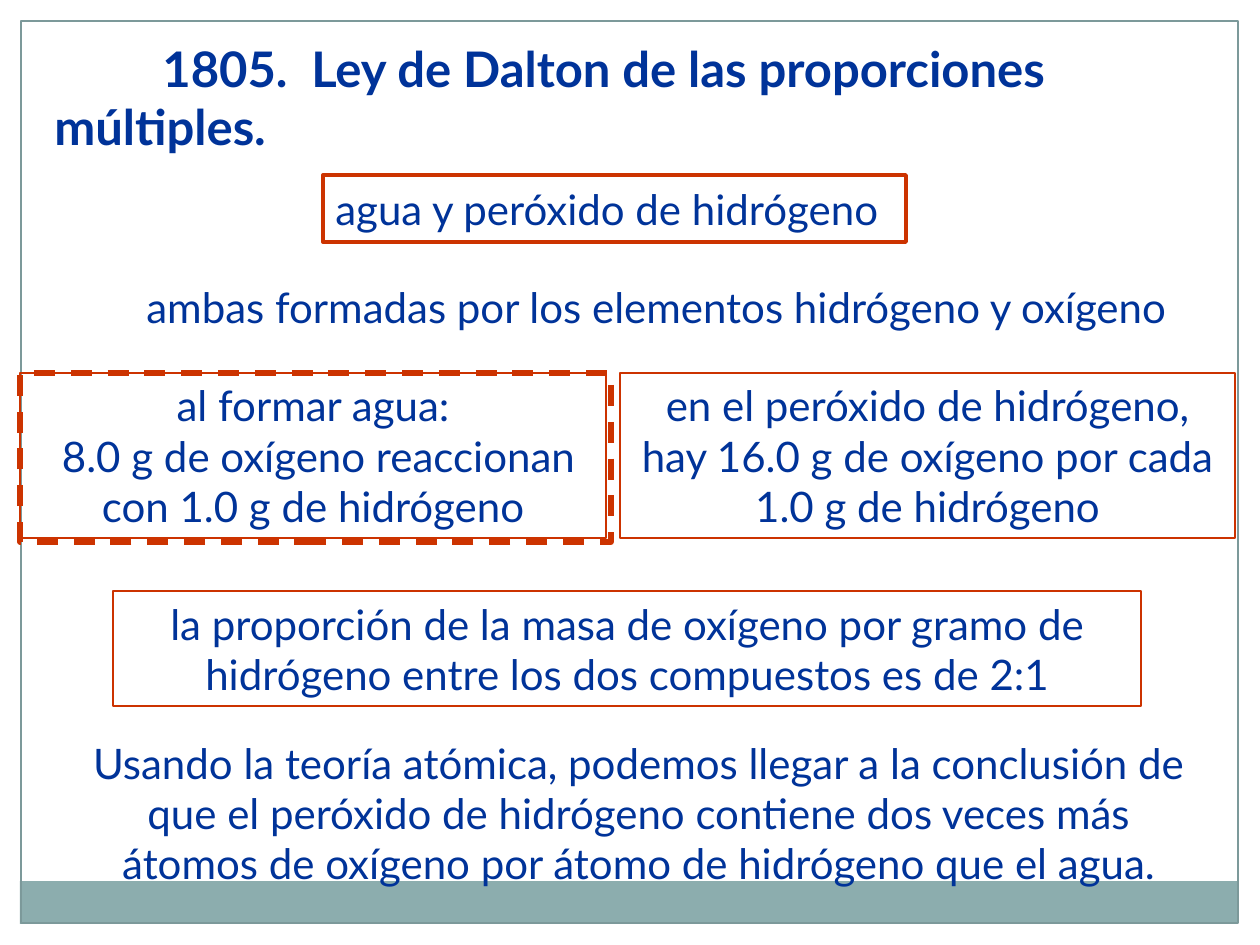
from pptx import Presentation
from pptx.dml.color import RGBColor
from pptx.enum.dml import MSO_LINE
from pptx.enum.shapes import MSO_SHAPE
from pptx.enum.text import PP_ALIGN
from pptx.util import Pt

EMU_PER_PX = 914400 / 126
FONT = "Lato"
NAVY, RED, TEAL, GREY = "003399", "CC3300", "8CADAE", "7C999A"
LEFT, CENTER = PP_ALIGN.LEFT, PP_ALIGN.CENTER
TITLE_INDENT = 108

TITLE = "1805.  Ley de Dalton de las proporciones múltiples."
TITLE_BOX = (42, 32, 1176, 130)

# paragraphs, box in px (left, top, width, height), alignment, outline in points
STATEMENTS = [
    (["agua y peróxido de hidrógeno"], (323, 175, 583, 67), LEFT, 2.25),
    (["ambas formadas por los elementos hidrógeno y oxígeno"],
     (134, 275, 1065, 63), LEFT, None),
    (["al formar agua:", " 8.0 g de oxígeno reaccionan con 1.0 g de hidrógeno"],
     (20, 373, 586, 165), CENTER, 0.75),
    (["en el peróxido de hidrógeno, hay 16.0 g de oxígeno por cada 1.0 g de hidrógeno"],
     (620, 373, 615, 165), CENTER, 0.75),
    (["la proporción de la masa de oxígeno por gramo de hidrógeno "
      "entre los dos compuestos es de 2:1"],
     (113, 591, 1028, 115), CENTER, 0.75),
    (["Usando la teoría atómica, podemos llegar a la conclusión de que el peróxido "
      "de hidrógeno contiene dos veces más átomos de oxígeno por átomo de hidrógeno "
      "que el agua."],
     (64, 731, 1149, 164), CENTER, None),
]


def px(length):
    return round(length * EMU_PER_PX)


def color(hex_code):
    return RGBColor.from_string(hex_code)


def add_rectangle(slide, box, fill=None, line=None, width=0.75):
    shape = slide.shapes.add_shape(MSO_SHAPE.RECTANGLE, *map(px, box))
    shape.shadow.inherit = False
    if fill:
        shape.fill.solid()
        shape.fill.fore_color.rgb = color(fill)
    else:
        shape.fill.background()
    if line:
        shape.line.color.rgb = color(line)
        shape.line.width = Pt(width)
    else:
        shape.line.fill.background()
    return shape


def add_text(slide, paragraphs, box, align, outline=None, size=24, bold=False):
    """Add a text box, or a red-outlined rectangle when an outline width is given."""
    if outline:
        shape = add_rectangle(slide, box, line=RED, width=outline)
    else:
        shape = slide.shapes.add_textbox(*map(px, box))
    frame = shape.text_frame
    frame.word_wrap = True
    frame.text = "\n".join(paragraphs)
    for paragraph in frame.paragraphs:
        paragraph.alignment = align
        font = paragraph.runs[0].font
        font.name, font.size, font.bold = FONT, Pt(size), bold
        font.color.rgb = color(NAVY)
    return shape


def main():
    presentation = Presentation()
    presentation.slide_width, presentation.slide_height = px(1260), px(945)
    slide = presentation.slides.add_slide(presentation.slide_layouts[6])

    add_rectangle(slide, (20, 881, 1217, 43), fill=TEAL)
    add_rectangle(slide, (21, 21, 1217, 902), line=GREY)

    title = add_text(slide, [TITLE], TITLE_BOX, LEFT, size=28, bold=True)
    properties = title.text_frame.paragraphs[0]._p.get_or_add_pPr()
    properties.set("indent", str(px(TITLE_INDENT)))

    for paragraphs, box, align, outline in STATEMENTS:
        add_text(slide, paragraphs, box, align, outline)

    water_highlight = add_rectangle(slide, (20, 373, 591, 169), line=RED, width=3)
    water_highlight.line.dash_style = MSO_LINE.DASH

    presentation.save("out.pptx")


if __name__ == "__main__":
    main()
